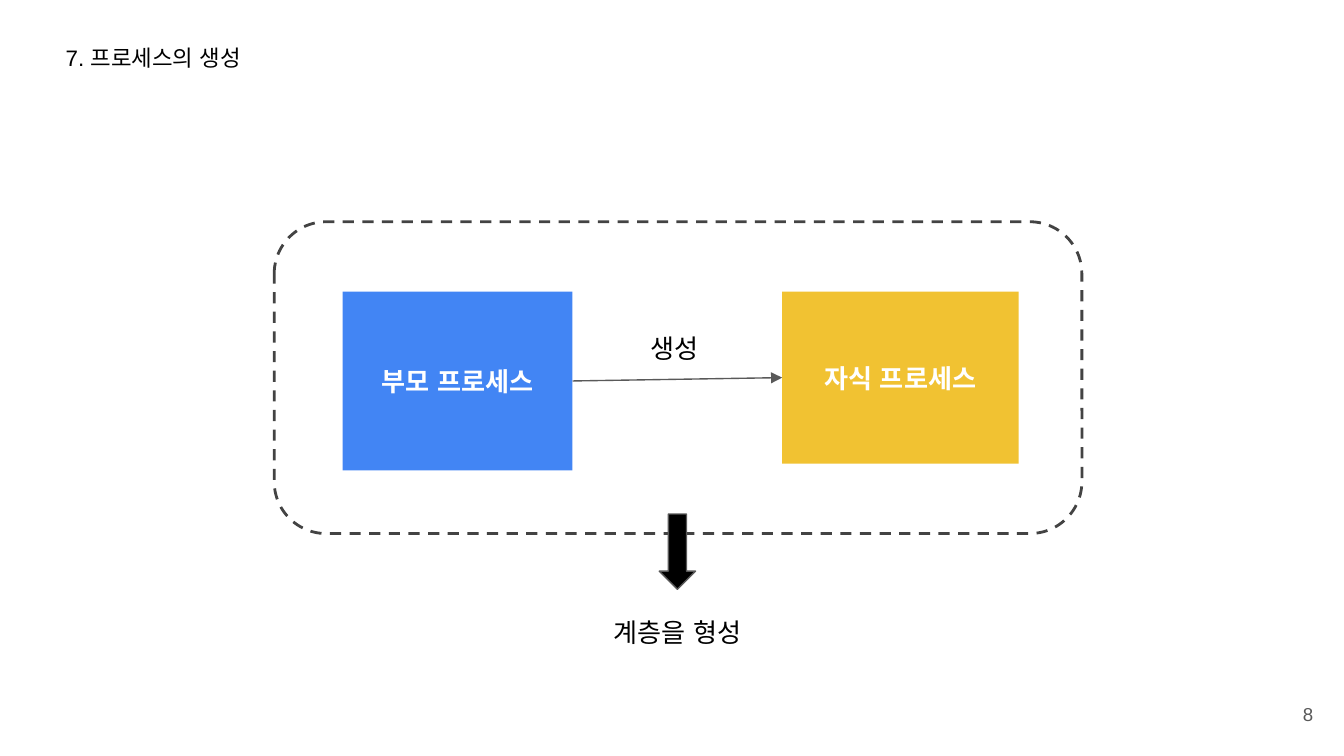
from dataclasses import dataclass

from lxml.etree import SubElement
from pptx import Presentation
from pptx.dml.color import RGBColor
from pptx.enum.dml import MSO_LINE
from pptx.enum.shapes import MSO_CONNECTOR, MSO_SHAPE
from pptx.enum.text import MSO_ANCHOR, MSO_AUTO_SIZE, PP_ALIGN
from pptx.oxml.ns import qn
from pptx.util import Inches, Pt


@dataclass(frozen=True)
class Theme:
    font: str = "Arial"
    black: str = "000000"
    white: str = "FFFFFF"
    gray: str = "595959"
    frame: str = "434343"
    parent: str = "4285F4"
    child: str = "F1C232"
    number_size: int = 10
    title_size: int = 12
    label_size: int = 14
    thin: float = 0.75
    thick: float = 1.5


THEME = Theme()


def color(value):
    return RGBColor.from_string(value)


def write_text(shape, text, size, text_color, align, anchor, bold=False):
    frame = shape.text_frame
    frame.word_wrap = True
    frame.vertical_anchor = anchor
    frame.margin_left = frame.margin_right = Inches(0.1)
    frame.margin_top = frame.margin_bottom = Inches(0.1)
    paragraph = frame.paragraphs[0]
    paragraph.text = text
    paragraph.alignment = align
    font = paragraph.font
    font.name = THEME.font
    font.size = Pt(size)
    font.bold = bold
    font.color.rgb = color(text_color)
    # Korean text takes its font from the East Asian entry
    SubElement(font._element, qn("a:ea"), typeface=THEME.font)


def add_label(slide, box, text, size=THEME.label_size, text_color=THEME.black,
              align=PP_ALIGN.LEFT, anchor=MSO_ANCHOR.TOP, grow=True):
    label = slide.shapes.add_textbox(*map(Inches, box))
    write_text(label, text, size, text_color, align, anchor)
    if grow:
        label.text_frame.auto_size = MSO_AUTO_SIZE.SHAPE_TO_FIT_TEXT


def add_figure(slide, kind, box, fill=None, line=None, width=THEME.thin):
    shape = slide.shapes.add_shape(kind, *map(Inches, box))
    shape.shadow.inherit = False
    if fill:
        shape.fill.solid()
        shape.fill.fore_color.rgb = color(fill)
    else:
        shape.fill.background()
    if line:
        shape.line.color.rgb = color(line)
        shape.line.width = Pt(width)
    else:
        shape.line.fill.background()
    return shape


def add_process(slide, box, text, fill):
    process = add_figure(slide, MSO_SHAPE.RECTANGLE, box, fill)
    write_text(process, text, THEME.label_size, THEME.white,
               PP_ALIGN.CENTER, MSO_ANCHOR.MIDDLE, bold=True)
    return process


def connect(slide, source, target):
    """Draw an arrow from the right side of source to the left side of target."""
    connector = slide.shapes.add_connector(MSO_CONNECTOR.STRAIGHT, 0, 0, 0, 0)
    connector.begin_connect(source, 3)
    connector.end_connect(target, 1)
    connector.line.color.rgb = color(THEME.gray)
    connector.line.width = Pt(THEME.thin)
    properties = connector.line._get_or_add_ln()
    SubElement(properties, qn("a:tailEnd"), type="triangle")
    SubElement(connector._element.spPr, qn("a:effectLst"))


def main():
    # Widescreen 16:9 page
    presentation = Presentation()
    presentation.slide_width = Inches(10)
    presentation.slide_height = Inches(10 * 9 / 16)
    slide = presentation.slides.add_slide(presentation.slide_layouts[6])

    # Page number and title
    add_label(slide, (9.27, 5.1, 0.6, 0.43), "8", THEME.number_size, THEME.gray,
              PP_ALIGN.RIGHT, MSO_ANCHOR.MIDDLE, grow=False)
    add_label(slide, (0.39, 0.23, 6.25, 0.4), "7. 프로세스의 생성", THEME.title_size)

    # Parent process creating a child process
    parent = add_process(slide, (2.55, 2.17, 1.71, 1.33), "부모 프로세스", THEME.parent)
    child = add_process(slide, (5.82, 2.17, 1.76, 1.28), "자식 프로세스", THEME.child)
    connect(slide, parent, child)
    add_label(slide, (4.74, 2.37, 0.6, 0.44), "생성")

    # Resulting hierarchy
    add_label(slide, (4.3, 4.49, 1.48, 0.44), "계층을 형성", align=PP_ALIGN.CENTER)
    hierarchy = add_figure(slide, MSO_SHAPE.ROUNDED_RECTANGLE, (2.04, 1.65, 6.01, 2.32),
                           line=THEME.frame, width=THEME.thick)
    hierarchy.line.dash_style = MSO_LINE.DASH
    arrow = add_figure(slide, MSO_SHAPE.RIGHT_ARROW, (4.76, 3.97, 0.56, 0.27),
                       THEME.black, THEME.gray)
    arrow.rotation = 90

    presentation.save("out.pptx")


if __name__ == "__main__":
    main()
